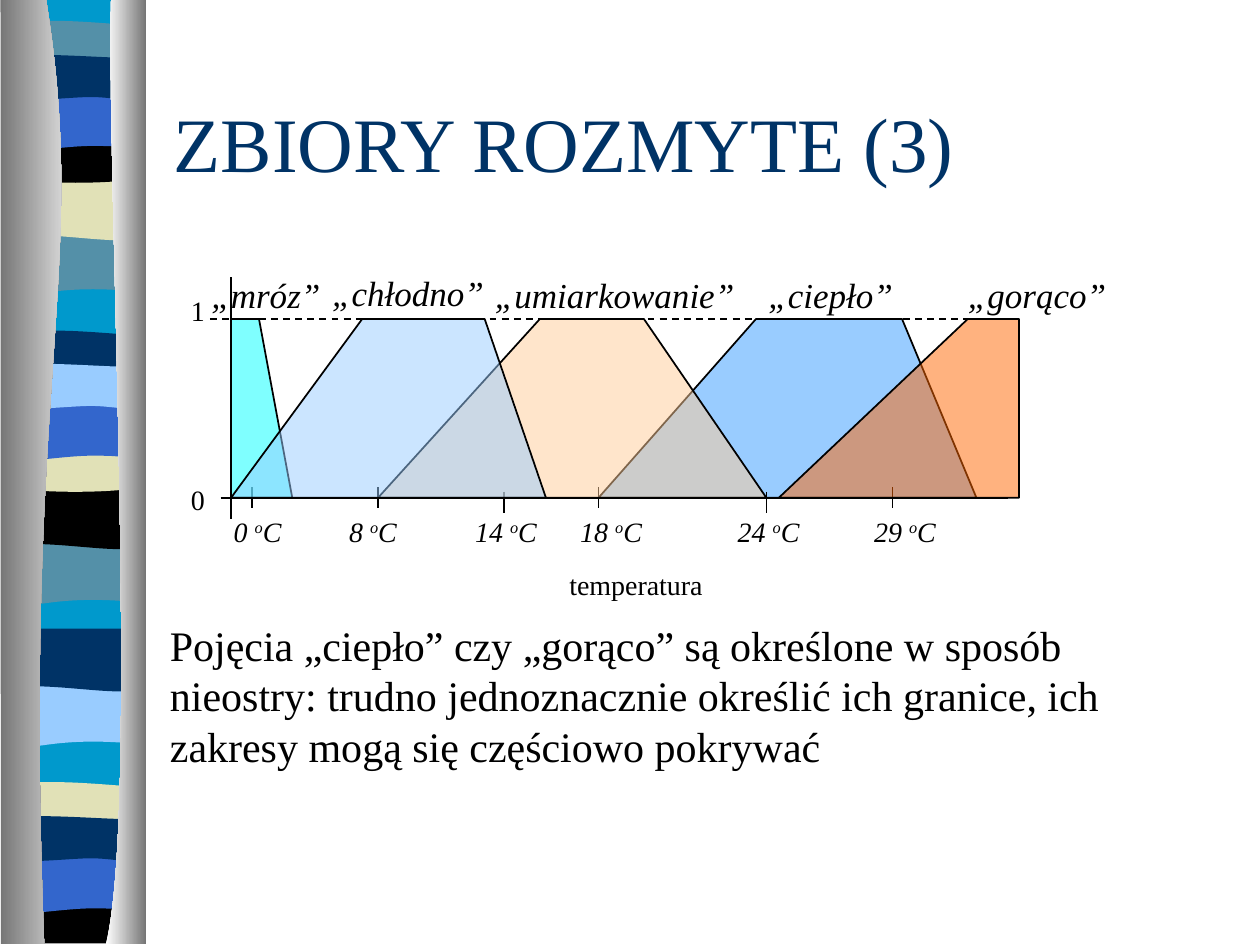
from lxml import etree
from pptx import Presentation
from pptx.dml.color import RGBColor
from pptx.enum.dml import MSO_LINE
from pptx.enum.shapes import MSO_CONNECTOR
from pptx.enum.text import MSO_ANCHOR, MSO_AUTO_SIZE
from pptx.oxml.ns import qn
from pptx.util import Pt

COLORS = {
    "black": "000000", "navy": "003366", "blue": "3366CC", "teal": "0099CC",
    "steel": "5490A8", "beige": "E1E1B7", "sky": "99CCFF", "cyan": "00FFFF",
    "peach": "FFCC99", "orange": "FF6600", "gray": "767676", "white": "FFFFFF",
}

# Edges of the ribbon bands: Bezier points as (x, offset); two points make a line
EDGES = {
    "flat": [(4, 0), (82, 0)],
    "slope": [(4, 0), (51.5, 3.6), (65, 0), (82, 0)],
    "crest": [(4, 0), (9, -3.6), (21, -3), (34, -3), (47, -3), (72, -0.7), (82, 0)],
    "bowl": [(4, 0), (17, 3.2), (69, 3.2), (82, 0)],
    "dip": [(4, 0), (15, -3.6), (57, 0), (70, 0), (83, 0), (79, 0), (82, 0)],
    "swell": [(4, 0), (12, 3.6), (39, 0), (52, 0), (65, 0), (77, 3.6), (82, 0)],
    "arch": [(4, 0), (16, 0), (39, -3.6), (52, -3.6), (65, -3.6), (70, -3.6), (82, 0)],
    "sag": [(4, 0), (17, 4.3), (69, 4.3), (82, 0)],
    "wave": [(4, 0), (28, -4.3), (69, 5.8), (82, 0)],
    "drop": [(4, 0), (17, 5.8), (28, -5.8), (82, 0)],
}

# Kinds of band: top edge, bottom edge, height
BAND_KINDS = {
    "base": ("flat", "flat", 538.5), "drop": ("flat", "drop", 34),
    "wave": ("flat", "wave", 34), "crest": ("crest", "bowl", 17.3),
    "sag": ("slope", "sag", 23.5), "arch": ("flat", "arch", 34),
    "dip": ("dip", "swell", 22.5), "foot": ("slope", "flat", 26.5),
}

# Bands from back to front: kind, top, colour
BANDS = [
    ("base", -0.5, "teal"),
    ("drop", 133, "steel"), ("wave", 101.5, "beige"), ("crest", 15, "steel"),
    ("sag", 77.7, "black"), ("arch", 53, "blue"), ("dip", 33, "navy"),
    ("drop", 310.5, "steel"), ("wave", 278, "black"), ("crest", 192, "navy"),
    ("sag", 254.3, "beige"), ("arch", 230, "blue"), ("dip", 209.5, "sky"),
    ("drop", 391.5, "sky"), ("wave", 359.3, "navy"), ("crest", 450, "beige"),
    ("foot", 512.5, "black"), ("arch", 488.7, "blue"), ("dip", 468, "navy"),
]
AXIS_Y, TOP_Y = 284.5, 182.3

# Fuzzy sets: label, label box, x of the four corners, colour
WARM = ("„ciepło”", (432, 152.5, 86, 32), (342, 432, 515.5, 558), "sky")
OTHER_SETS = [
    ("„gorąco”", (546, 152.5, 94, 32), (445, 553, 582.3, 582.3), "orange"),
    ("„mróz”", (113.7, 152.5, 78, 32), (132, 132, 148, 167), "cyan"),
    ("„umiarkowanie”", (275.7, 152.5, 153, 32), (216, 308.5, 368, 438), "peach"),
    ("„chłodno”", (182.7, 151.5, 101, 32), (132, 207, 277, 312), "sky"),
]

# Axis ticks: temperature, x, top, left of label
TICKS = [
    ("0", 144, 278.5, 126.5), ("8", 216, 278.5, 192.5), ("14", 288, 281, 264.5),
    ("18", 342, 278.5, 324.5), ("24", 438, 281, 414.5), ("29", 510, 278.5, 492.5),
]


class SlideWriter:
    font = "Times New Roman"

    def __init__(self, slide):
        self.slide = slide

    def color(self, name):
        return RGBColor.from_string(COLORS[name])

    def outline(self, edges, fill, line=None, alpha=None):
        """Join edges into one shape; edges of four or more points are curves."""
        corners = [(Pt(x), Pt(y)) for edge in edges for x, y in edge]
        builder = self.slide.shapes.build_freeform(*corners[0], scale=1.0)
        builder.add_line_segments(corners[1:], close=True)
        shape = builder.convert_to_shape()
        self.bend(shape, edges)
        shape.shadow.inherit = False
        if isinstance(fill, tuple):
            shape.fill.gradient()
            shape.fill.gradient_angle = 0
            for stop, name in zip(shape.fill.gradient_stops, fill):
                stop.color.rgb = self.color(name)
        else:
            shape.fill.solid()
            shape.fill.fore_color.rgb = self.color(fill)
        if alpha:
            color = shape.fill._xPr.find(".//" + qn("a:srgbClr"))
            etree.SubElement(color, qn("a:alpha")).set("val", str(alpha * 1000))
        if line:
            shape.line.color.rgb = self.color(line)
            shape.line.width = Pt(1)
        else:
            shape.line.fill.background()

    def bend(self, shape, edges):
        """Turn each three line segments of a curved edge into one Bezier segment."""
        nodes = list(shape._element.iter(qn("a:moveTo"), qn("a:lnTo")))
        start = 0
        for edge in edges:
            for i in range(start + 1, start + len(edge) - 2, 3):
                curve = etree.Element(qn("a:cubicBezTo"))
                nodes[i].addprevious(curve)
                for node in nodes[i:i + 3]:
                    curve.append(node[0])
                    node.getparent().remove(node)
            start += len(edge)

    def band(self, kind, top, fill):
        upper, lower, height = BAND_KINDS[kind]
        self.outline([[(x, top + y) for x, y in EDGES[upper]],
                      [(x, top + height + y) for x, y in reversed(EDGES[lower])]], fill)

    def line(self, x1, y1, x2, y2, dash=None):
        connector = self.slide.shapes.add_connector(
            MSO_CONNECTOR.STRAIGHT, Pt(x1), Pt(y1), Pt(x2), Pt(y2))
        connector.line.color.rgb = self.color("black")
        connector.line.width = Pt(1)
        if dash:
            connector.line.dash_style = dash
        etree.SubElement(connector._element.spPr, qn("a:effectLst"))

    def text(self, box, runs, size, color="black", italic=False, wrap=False,
             anchor=MSO_ANCHOR.TOP):
        """Runs are (text, is superscript) pairs."""
        frame = self.slide.shapes.add_textbox(*map(Pt, box)).text_frame
        frame.word_wrap = wrap
        frame.auto_size = MSO_AUTO_SIZE.NONE if wrap else MSO_AUTO_SIZE.SHAPE_TO_FIT_TEXT
        frame.vertical_anchor = anchor
        paragraph = frame.paragraphs[0]
        for content, raised in runs:
            run = paragraph.add_run()
            run.text = content
            run.font.name = self.font
            run.font.size = Pt(size)
            run.font.italic = italic
            run.font.color.rgb = self.color(color)
            if raised:
                run.font._element.set("baseline", "30000")

    def fuzzy_set(self, label, box, xs, fill, alpha=None):
        left, top_left, top_right, right = xs
        self.outline([[(left, AXIS_Y), (top_left, TOP_Y)],
                      [(top_right, TOP_Y), (right, AXIS_Y)]], fill, "black", alpha)
        self.text(box, [(label, False)], 20, italic=True)


def main():
    presentation = Presentation()
    presentation.slide_width, presentation.slide_height = Pt(720), Pt(540)
    writer = SlideWriter(presentation.slides.add_slide(presentation.slide_layouts[6]))

    # Ribbon between two metal columns
    for kind, top, fill in BANDS:
        writer.band(kind, top, fill)
    writer.outline([[(26.3, -0.5), (51.5, 155.5), (12.5, 213), (25.3, 539.5)],
                    [(0.5, 539.5), (0.3, -0.5)]], ("gray", "white"))
    writer.outline([[(63.5, -0.5), (60.5, 90), (80, 465), (60.5, 539.5)],
                    [(83.5, 539.5), (83.5, -0.5)]], ("white", "gray"))

    # Axes
    writer.line(126, AXIS_Y, 576, AXIS_Y)
    writer.line(132, 296.5, 132, 158.5)
    writer.line(120, TOP_Y, 576, TOP_Y, MSO_LINE.DASH)
    for label, box in [("1", (102, 164.3, 22, 27)), ("0", (102, 272.3, 22, 27)),
                       ("temperatura", (318.3, 320.5, 91, 27))]:
        writer.text(box, [(label, False)], 16)

    # Fuzzy sets and temperature scale
    writer.fuzzy_set(*WARM)
    for degrees, x, top, left in TICKS:
        writer.line(x, top, x, top + 12)
        runs = [(degrees + " ", False), ("o", True), ("C", False)]
        writer.text((left, 290.3, 42 if len(degrees) == 1 else 50, 27), runs, 16, italic=True)
    for fuzzy_set in OTHER_SETS:
        writer.fuzzy_set(*fuzzy_set, alpha=50)

    # Explanation and title
    explanation = ("Pojęcia „ciepło” czy „gorąco” są określone w sposób nieostry: "
                   "trudno jednoznacznie określić ich granice, ich zakresy mogą się "
                   "częściowo pokrywać")
    writer.text((90, 350.5, 552, 94), [(explanation, False)], 24, wrap=True)
    writer.text((92.3, 36, 612, 90), [("ZBIORY ROZMYTE (3)", False)], 44, "navy",
                wrap=True, anchor=MSO_ANCHOR.MIDDLE)

    presentation.save("out.pptx")


if __name__ == "__main__":
    main()
